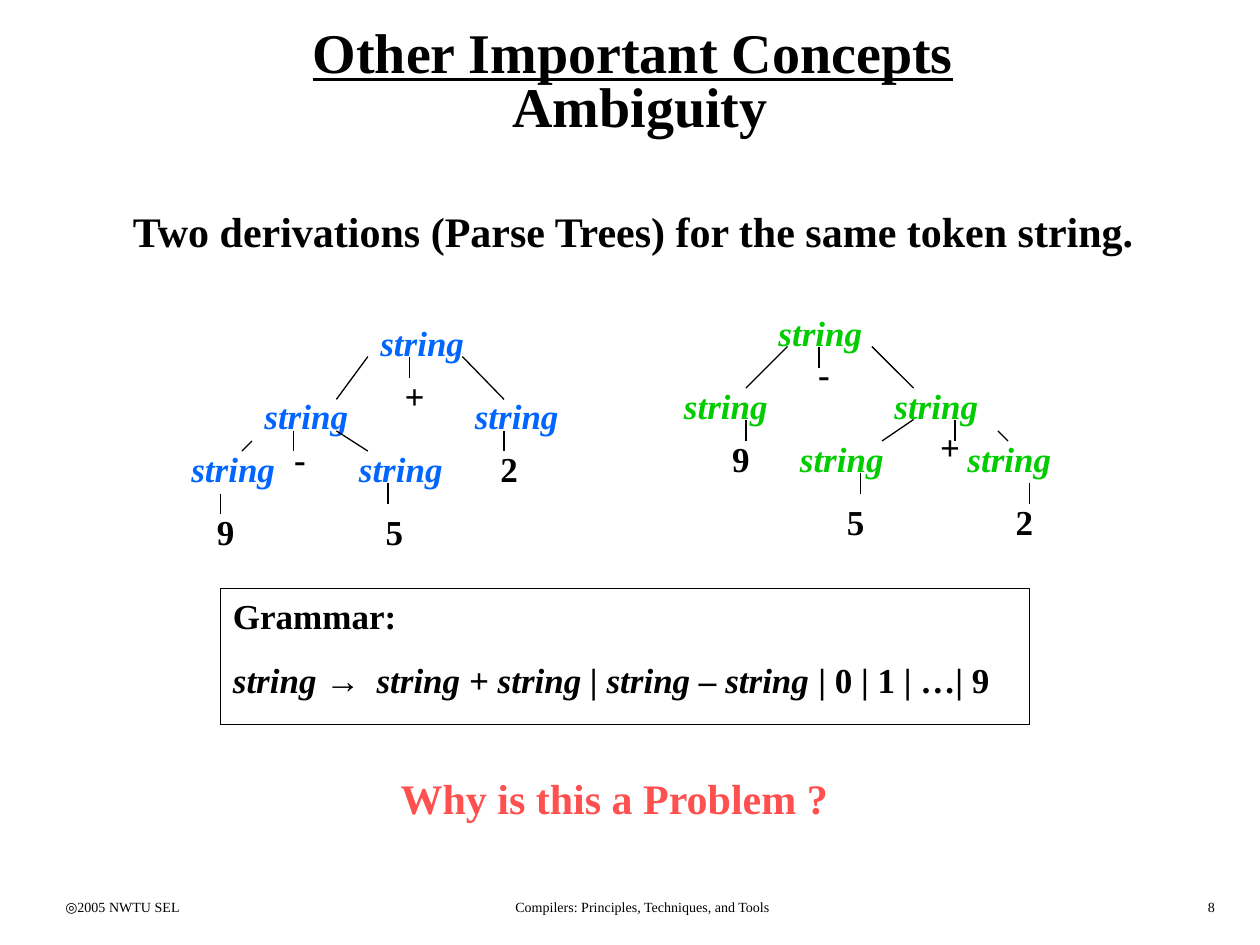
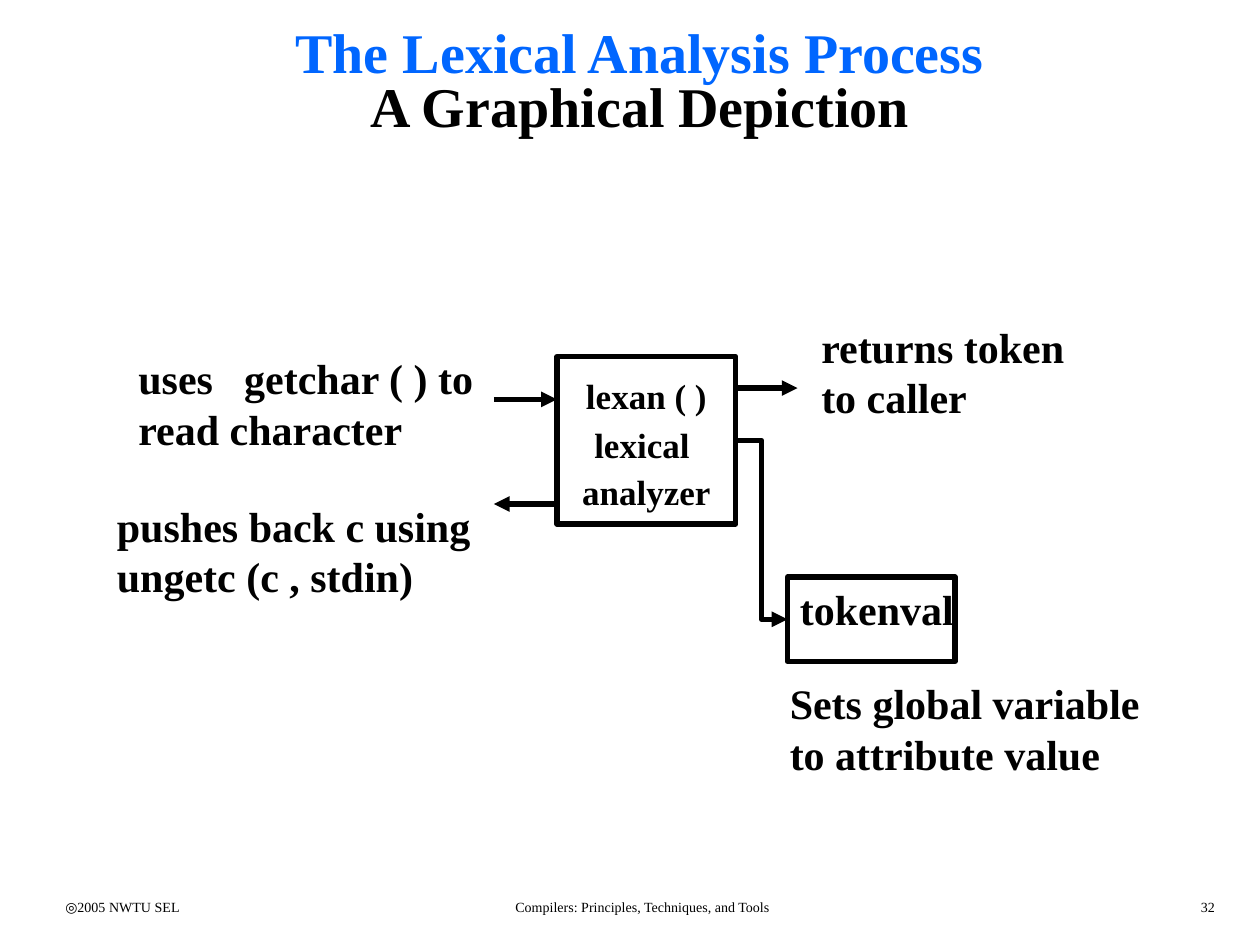
from dataclasses import dataclass

from lxml import etree
from pptx import Presentation
from pptx.dml.color import RGBColor
from pptx.enum import shapes, text
from pptx.oxml import ns
from pptx.util import Inches, Pt

LEFT, CENTER, RIGHT = text.PP_ALIGN.LEFT, text.PP_ALIGN.CENTER, text.PP_ALIGN.RIGHT


@dataclass(frozen=True)
class Theme:
    font: str = "Times New Roman"
    symbol_font: str = "Arial"
    ink: str = "000000"
    blue: str = "0066FF"
    green: str = "00CC00"
    red: str = "FF5050"
    title: int = 32
    body: int = 24
    label: int = 20
    footer: int = 8
    thin: float = 0.75
    thick: float = 3


THEME = Theme()


def run(words, **style):
    """A piece of text with the style that differs from its paragraph."""
    return words, style


class Deck:
    def __init__(self, theme):
        self.theme = theme
        self.prs = Presentation()
        self.prs.slide_width, self.prs.slide_height = Inches(10), Inches(7.5)
        self.shapes = None

    def new_slide(self, number, title_runs):
        self.shapes = self.prs.slides.add_slide(self.prs.slide_layouts[6]).shapes
        self.add_text((0.58, 0.17, 9, 1), [title_runs], size=self.theme.title, align=CENTER,
                      spacing=[0.8], anchor=text.MSO_ANCHOR.MIDDLE)
        footers = [
            (0.42, 2.07, "◎2005 NWTU SEL", LEFT),
            (3.25, 3.73, "Compilers: Principles, Techniques, and Tools ", CENTER),
            (7.67, 2.07, str(number), RIGHT),
        ]
        for left, width, words, align in footers:
            self.add_text((left, 7.08, width, 0.25), [[run(words)]],
                          size=self.theme.footer, align=align, bold=False)

    def add_text(self, place, paragraphs, size=None, align=LEFT, color=None, bold=True,
                 italic=False, before=0, spacing=None, wrap=True, tab=None,
                 anchor=text.MSO_ANCHOR.TOP):
        """Text box from lists of runs; the run "\\n" is a line break."""
        frame = self.shapes.add_textbox(*map(Inches, place)).text_frame
        frame.word_wrap = wrap
        frame.vertical_anchor = anchor
        for index, runs in enumerate(paragraphs):
            paragraph = frame.add_paragraph() if index else frame.paragraphs[0]
            paragraph.alignment = align
            paragraph.space_before = Pt(before)
            if spacing:
                paragraph.line_spacing = spacing[index]
            if tab:
                self.set_tab(paragraph, tab)
            for words, style in runs:
                if words == "\n":
                    paragraph.add_line_break()
                    continue
                piece = paragraph.add_run()
                piece.text = words
                font = piece.font
                font.name = style.get("font", self.theme.font)
                font.size = Pt(size or self.theme.label)
                font.bold = bold
                font.italic = style.get("italic", italic)
                font.underline = style.get("underline", False)
                font.color.rgb = RGBColor.from_string(
                    style.get("color", color or self.theme.ink))

    def set_tab(self, paragraph, inches):
        tabs = etree.SubElement(paragraph._p.get_or_add_pPr(), ns.qn("a:tabLst"))
        etree.SubElement(tabs, ns.qn("a:tab"), pos=str(Inches(inches)), algn="l")

    def note(self, place, words, **style):
        """One body-size paragraph."""
        self.add_text(place, [[run(words)]], size=self.theme.body, before=15, **style)

    def frame(self, place, weight):
        """Unfilled rectangle."""
        box = self.shapes.add_shape(shapes.MSO_SHAPE.RECTANGLE, *map(Inches, place))
        box.shadow.inherit = False
        box.fill.background()
        self.ink_line(box.line, weight)
        return box

    def ink_line(self, line, weight):
        line.color.rgb = RGBColor.from_string(self.theme.ink)
        line.width = Pt(weight)

    def line(self, start, end, weight, arrow=False, kind=shapes.MSO_CONNECTOR.STRAIGHT):
        link = self.shapes.add_connector(kind, *map(Inches, (*start, *end)))
        self.ink_line(link.line, weight)
        properties = link._element.spPr
        if arrow:
            etree.SubElement(properties.find(ns.qn("a:ln")), ns.qn("a:tailEnd"),
                             type="triangle")
        etree.SubElement(properties, ns.qn("a:effectLst"))
        return link

    def parse_tree(self, root, color, strings, tokens, stems, branches):
        """Grouped tree; places are twelfths of an inch from the root."""
        def at(x, y):
            return round((root[0] + x) / 12, 2), round((root[1] + y) / 12, 2)

        slide_shapes = self.shapes
        self.shapes = slide_shapes.add_group_shape().shapes
        for spot in strings:
            self.add_text((*at(*spot), 0.92, 0.44), [[run("string")]],
                          color=color, italic=True, before=12.5)
        for token, *spot in tokens:
            self.add_text((*at(*spot), 0.42, 0.44), [[run(token)]], align=CENTER, before=12.5)
        for x, y in stems:
            self.line(at(x, y), at(x, y + 2), self.theme.thin)
        for start, end in branches:
            self.line(at(*start), at(*end), self.theme.thin)
        self.shapes = slide_shapes


def ambiguity_slide(deck):
    deck.new_slide(8, [run("Other Important Concepts", underline=True), run(" "),
                       run("\n"), run("Ambiguity")])
    deck.parse_tree(
        (35, 30), THEME.blue,
        strings=[(0, 0), (-11, 7), (9, 7), (-18, 12), (-2, 12)],
        tokens=[("+", 2, 5), ("-", -9, 11), ("2", 11, 12), ("9", -16, 18), ("5", 0, 18)],
        stems=[(4, 4), (-7, 11), (13, 11), (2, 16), (-14, 17)],
        branches=[((0, 4), (-3, 8)), ((9, 4), (13, 8)),
                  ((-11, 12), (-12, 13)), ((-3, 11), (0, 13))])
    deck.note((2.5, 6.08, 4.75, 0.5), "Why is this a Problem ?",
              align=CENTER, color=THEME.red)
    production = [
        run("string ", italic=True), run("→", font=THEME.symbol_font), run("\t"),
        run("string + string | string – string", italic=True),
        run(" | 0 | 1 | …| 9"),
    ]
    deck.add_text((1.75, 4.67, 6.25, 0.94), [[run("Grammar:")], production],
                  before=12.5, tab=1.14)
    deck.frame((1.75, 4.67, 6.42, 1.08), THEME.thin)
    deck.note((0.92, 1.58, 8.21, 0.5),
              "Two derivations (Parse Trees) for the same token string.",
              align=CENTER, wrap=False)
    deck.parse_tree(
        (73, 29), THEME.green,
        strings=[(0, 0), (-9, 7), (11, 7), (2, 12), (18, 12)],
        tokens=[("-", 3, 4), ("+", 15, 11), ("9", -5, 12), ("5", 6, 18), ("2", 22, 18)],
        stems=[(5, 4), (-2, 11), (18, 11), (9, 16), (25, 17)],
        branches=[((2, 4), (-2, 8)), ((10, 4), (14, 8)),
                  ((14, 11), (11, 13)), ((22, 12), (23, 13))])


def lexical_analysis_slide(deck):
    deck.new_slide(32, [run("The Lexical Analysis Process", color=THEME.blue),
                        run("\n"), run("A Graphical Depiction")])
    deck.note((1, 2.75, 2.93, 0.9), "uses\tgetchar ( ) to read character", tab=0.84)
    deck.note((0.83, 3.92, 3.03, 0.9), "pushes back c using ungetc (c , stdin)")
    deck.note((6.42, 2.5, 2.17, 0.9), "returns token to caller")
    deck.note((6.25, 4.58, 1.92, 0.5), "tokenval")
    tokenval = deck.frame((6.25, 4.58, 1.33, 0.67), THEME.thick)
    deck.note((6.17, 5.33, 3.03, 0.9), "Sets global variable to attribute value")
    deck.add_text((4.42, 2.92, 1.42, 1.18),
                  [[run("lexan ( )")], [run("lexical ")], [run("analyzer")]],
                  align=CENTER, before=12.5, spacing=[1.0, 0.6, 0.6])
    analyzer = deck.frame((4.42, 2.83, 1.42, 1.33), THEME.thick)

    flows = [((3.92, 3.17), (4.42, 3.17)),
             ((4.42, 4), (3.92, 4)),
             ((5.83, 3.08), (6.33, 3.08))]
    for start, end in flows:
        deck.line(start, end, THEME.thick, arrow=True)
    attribute = deck.line((5.84, 3.5), (6.25, 4.92), THEME.thick, arrow=True,
                          kind=shapes.MSO_CONNECTOR.ELBOW)
    attribute.begin_connect(analyzer, 3)
    attribute.end_connect(tokenval, 1)


def main():
    deck = Deck(THEME)
    ambiguity_slide(deck)
    lexical_analysis_slide(deck)
    deck.prs.save("out.pptx")


if __name__ == "__main__":
    main()
